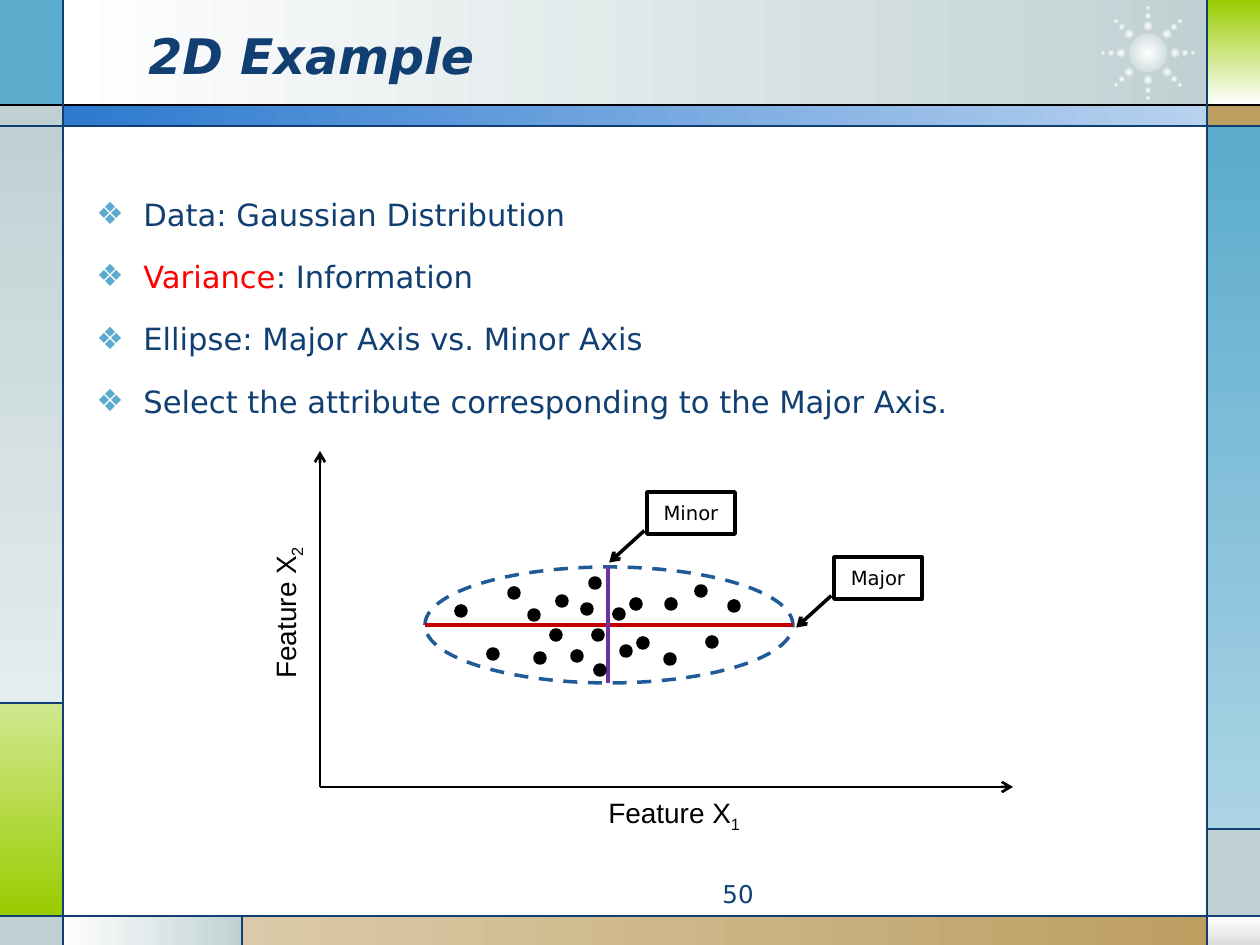
from math import cos, radians, sin

from lxml.etree import SubElement
from pptx import Presentation
from pptx.dml.color import RGBColor
from pptx.enum.dml import MSO_LINE
from pptx.enum.shapes import MSO_CONNECTOR, MSO_SHAPE
from pptx.enum.text import MSO_ANCHOR, PP_ALIGN
from pptx.oxml.ns import qn
from pptx.util import Pt

EMU_PER_PX = 914400 / 126
WIDTH, HEIGHT = 1260, 945
LEFT, RIGHT = 63, 1207
HEADER, BODY, FOOTER = 105, 126, 916
GREEN_TOP, GREY_TOP, TAN_LEFT = 703, 829, 242

NAVY, BLUE, GREY, GREEN, TAN = "113F71", "5AABCC", "C1D1D3", "99CC00", "BD9E61"
BLACK, WHITE, RED = "000000", "FFFFFF", "FF0000"
SANS = "DejaVu Sans"

# left, top, right, bottom, colours from first to last, gradient angle
PANELS = [
    (LEFT, 0, RIGHT, HEADER, (WHITE, GREY), 0),
    (0, 0, LEFT, HEADER, (BLUE,), 0),
    (0, HEADER, LEFT, BODY, (GREY,), 0),
    (0, BODY, LEFT, GREEN_TOP, (GREY, "E4ECED"), 270),
    (0, GREEN_TOP, LEFT, FOOTER, ("D1E88F", GREEN), 270),
    (0, FOOTER, LEFT, HEIGHT, (GREY,), 0),
    (LEFT, FOOTER, TAN_LEFT, HEIGHT, (WHITE, GREY), 0),
    (TAN_LEFT, FOOTER, RIGHT, HEIGHT, ("DBCAA9", TAN), 0),
    (RIGHT, FOOTER, WIDTH, HEIGHT, (WHITE, "DDDDDD"), 270),
    (RIGHT, GREY_TOP, WIDTH, FOOTER, (GREY,), 0),
    (RIGHT, BODY, WIDTH, GREY_TOP, (BLUE, "ABD4E5"), 270),
    (RIGHT, HEADER, WIDTH, BODY, (TAN,), 0),
    (RIGHT, 0, WIDTH, HEADER, (GREEN, WHITE), 270),
    (LEFT, HEADER, RIGHT, BODY, ("2D7ACF", "B8D2EF"), 0),
]
DIVIDERS = [
    (0, HEADER, WIDTH, HEADER, BLACK),
    (0, BODY, WIDTH, BODY, NAVY),
    (0, FOOTER, WIDTH, FOOTER, NAVY),
    (LEFT, 0, LEFT, HEIGHT, NAVY),
    (RIGHT, 0, RIGHT, HEIGHT, NAVY),
    (0, GREEN_TOP, LEFT, GREEN_TOP, NAVY),
    (TAN_LEFT, FOOTER, TAN_LEFT, HEIGHT, NAVY),
    (RIGHT, GREY_TOP, WIDTH, GREY_TOP, NAVY),
]
BULLETS = [
    [("Data: Gaussian Distribution", {})],
    [("Variance", {"color": RED}), (": Information", {})],
    [("Ellipse: Major Axis vs. Minor Axis", {})],
    [("Select the attribute corresponding to the Major Axis.", {})],
]
DATA_POINTS = [
    (562, 601), (587, 609), (556, 635), (577, 656), (493, 654), (636, 604), (670, 659),
    (626, 651), (701, 591), (643, 643), (514, 593), (534, 615), (671, 604), (734, 606),
    (712, 642), (540, 658), (600, 670), (461, 611), (595, 583), (598, 635), (619, 614),
]


def px(length):
    return round(length * EMU_PER_PX)


def rgb(color):
    return RGBColor.from_string(color)


def set_fill(shape, colors, angle=0):
    """Fill with nothing, one colour or a two-colour gradient; angle None is radial."""
    fill = shape.fill
    if not colors:
        fill.background()
    elif len(colors) == 1:
        fill.solid()
        fill.fore_color.rgb = rgb(colors[0])
    else:
        fill.gradient()
        for stop, color in zip(fill.gradient_stops, colors):
            stop.color.rgb = rgb(color)
        if angle is not None:
            fill.gradient_angle = angle
            return
        gradient = shape._element.spPr.find(qn("a:gradFill"))
        gradient.remove(gradient.find(qn("a:lin")))
        radial = SubElement(gradient, qn("a:path"), {"path": "circle"})
        sides = {side: "50000" for side in "ltrb"}
        SubElement(radial, qn("a:fillToRect"), sides)


def add_shape(slide, kind, box, colors=(), angle=0, line=None, width=2):
    shape = slide.shapes.add_shape(kind, *map(px, box))
    shape.shadow.inherit = False
    set_fill(shape, colors, angle)
    if line:
        shape.line.color.rgb = rgb(line)
        shape.line.width = Pt(width)
    else:
        shape.line.fill.background()
    return shape


def add_circle(slide, x, y, size, colors, **options):
    box = (x - size / 2, y - size / 2, size, size)
    return add_shape(slide, MSO_SHAPE.OVAL, box, colors, **options)


def add_arrowhead(shape):
    SubElement(shape.line._get_or_add_ln(), qn("a:tailEnd"), {"type": "arrow"})


def add_line(slide, start_x, start_y, end_x, end_y, color, width=0.75, arrow=False):
    line = slide.shapes.add_connector(
        MSO_CONNECTOR.STRAIGHT, px(start_x), px(start_y), px(end_x), px(end_y))
    line.line.color.rgb = rgb(color)
    line.line.width = Pt(width)
    if arrow:
        add_arrowhead(line)
    SubElement(line._element.spPr, qn("a:effectLst"))


def add_run(paragraph, text, size, color, font=SANS, bold=False, italic=False, baseline=0):
    run = paragraph.add_run()
    run.text = text
    run.font.name, run.font.size = font, Pt(size)
    run.font.bold, run.font.italic = bold, italic
    run.font.color.rgb = rgb(color)
    if baseline:
        run._r.get_or_add_rPr().set("baseline", str(baseline * 1000))


def add_text(slide, box, text, align=PP_ALIGN.LEFT, anchor=MSO_ANCHOR.TOP, wrap=True, **style):
    text_box = slide.shapes.add_textbox(*map(px, box))
    frame = text_box.text_frame
    frame.word_wrap, frame.vertical_anchor = wrap, anchor
    frame.paragraphs[0].alignment = align
    add_run(frame.paragraphs[0], text, **style)
    return text_box


def add_bullets(slide, box, items):
    frame = slide.shapes.add_textbox(*map(px, box)).text_frame
    frame.word_wrap = True
    for index, runs in enumerate(items):
        paragraph = frame.add_paragraph() if index else frame.paragraphs[0]
        paragraph.line_spacing = 1.5
        paragraph.space_before = Pt(4.2 if index else 0)
        properties = paragraph._p.get_or_add_pPr()
        properties.set("marL", str(px(47)))
        properties.set("indent", str(-px(47)))
        color = SubElement(properties, qn("a:buClr"))
        SubElement(color, qn("a:srgbClr"), {"val": BLUE})
        SubElement(properties, qn("a:buFont"), {"typeface": SANS})
        SubElement(properties, qn("a:buChar"), {"char": "❖"})
        for text, style in runs:
            add_run(paragraph, text, **({"size": 17.5, "color": NAVY} | style))


def add_sunburst(slide, x, y):
    glow = {"colors": (WHITE, GREY), "angle": None}
    add_circle(slide, x, y, 38, **glow)
    for degrees in range(0, 360, 45):
        for radius, size in ((27, 9), (37, 6), (45, 4)):
            add_circle(slide, x + radius * cos(radians(degrees)),
                       y + radius * sin(radians(degrees)), size, **glow)


def add_frame(slide):
    for left, top, right, bottom, colors, angle in PANELS:
        box = (left, top, right - left, bottom - top)
        add_shape(slide, MSO_SHAPE.RECTANGLE, box, colors, angle)
    add_sunburst(slide, 1148, 53)
    for divider in DIVIDERS:
        add_line(slide, *divider)


def add_callout(slide, left, top, text):
    callout = add_shape(slide, MSO_SHAPE.LINE_CALLOUT_1, (left, top, 88, 42), line=BLACK)
    for index, value in enumerate((0.92, -0.03, 1.68, -0.43)):
        callout.adjustments[index] = value
    add_arrowhead(callout)
    frame = callout.text_frame
    frame.margin_top = frame.margin_bottom = 0
    frame.vertical_anchor = MSO_ANCHOR.MIDDLE
    frame.paragraphs[0].alignment = PP_ALIGN.CENTER
    add_run(frame.paragraphs[0], text, size=11.2, color=BLACK)


def add_axis_label(slide, left, top, subscript, rotation=0):
    style = {"size": 16, "color": BLACK, "font": "Arial"}
    label = add_text(slide, (left, top, 165, 47), "Feature X", wrap=False, **style)
    add_run(label.text_frame.paragraphs[0], subscript, baseline=-25, **style)
    label.rotation = rotation


def add_scatter(slide):
    ellipse = add_shape(slide, MSO_SHAPE.OVAL, (425, 567, 368, 116), line="215A99")
    ellipse.line.dash_style = MSO_LINE.DASH
    add_line(slide, 425, 625, 793, 625, "C00000", 2.25)
    add_line(slide, 608, 567, 608, 683, "7030A0", 2.25)
    for x, y in DATA_POINTS:
        add_circle(slide, x, y, 10, (BLACK,), line=BLACK)
    add_callout(slide, 647, 492, "Minor")
    add_callout(slide, 834, 557, "Major")
    add_line(slide, 320, 787, 1013, 787, BLACK, 1.5, arrow=True)
    add_line(slide, 320, 787, 320, 451, BLACK, 1.5, arrow=True)
    add_axis_label(slide, 596, 789, "1")
    add_axis_label(slide, 203, 585, "2", rotation=270)


def main():
    presentation = Presentation()
    presentation.slide_width, presentation.slide_height = px(WIDTH), px(HEIGHT)
    slide = presentation.slides.add_slide(presentation.slide_layouts[6])
    add_frame(slide)
    add_text(slide, (136, 16, 924, 78), "2D Example", anchor=MSO_ANCHOR.MIDDLE,
             size=28, color=NAVY, bold=True, italic=True)
    add_bullets(slide, (84, 171, 1105, 282), BULLETS)
    add_text(slide, (473, 873, 293, 34), "50", align=PP_ALIGN.RIGHT, size=14, color=NAVY)
    add_scatter(slide)
    presentation.save("out.pptx")


if __name__ == "__main__":
    main()
